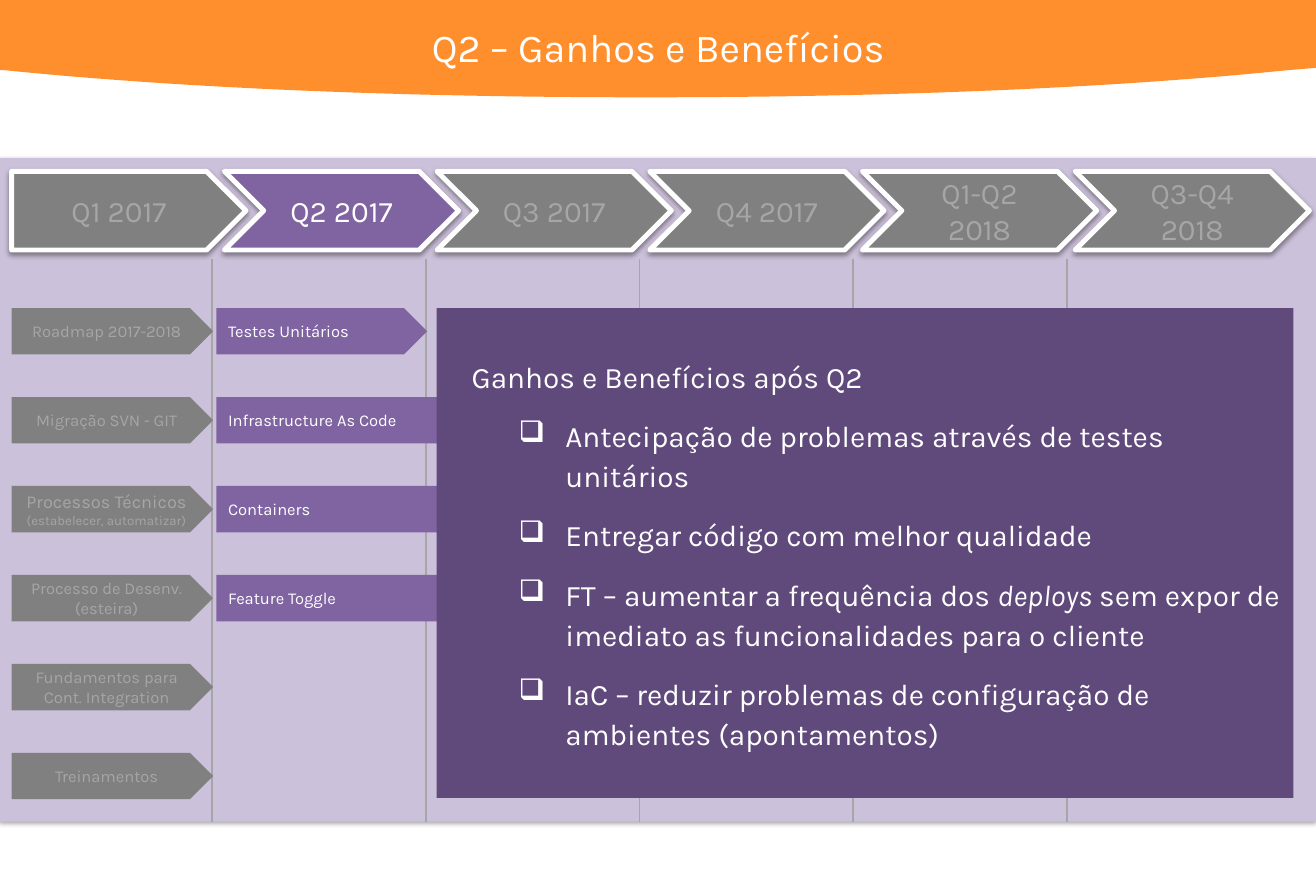
from lxml.etree import SubElement
from pptx import Presentation
from pptx.dml.color import RGBColor
from pptx.enum.shapes import MSO_CONNECTOR, MSO_SHAPE as SHAPE
from pptx.enum.text import MSO_ANCHOR, MSO_AUTO_SIZE, PP_ALIGN
from pptx.oxml import parse_xml
from pptx.oxml.ns import nsdecls, qn
from pptx.util import Cm, Pt

COLORS = {
    "banner": "FF8E2D", "white": "FFFFFF", "board": "CCC1DA", "panel": "604A7B",
    "active": "8064A2", "muted": "808080", "muted_text": "A6A6A6",
}
RGB = {name: RGBColor.from_string(value) for name, value in COLORS.items()}
SHADOW = (
    f'<a:outerShdw {nsdecls("a")} blurRad="40000" dist="20000" dir="5400000" rotWithShape="0">'
    '<a:srgbClr val="000000"><a:alpha val="38000"/></a:srgbClr></a:outerShdw>'
)


def add_box(kind, x, y, w, h, fill, shadow=False):
    sp = s.shapes.add_shape(kind, Cm(x), Cm(y), Cm(w), Cm(h))
    sp.fill.solid()
    sp.fill.fore_color.rgb = RGB[fill]
    sp.line.fill.background()
    sp.shadow.inherit = False
    if shadow:
        sp._element.spPr.find(qn("a:effectLst")).append(parse_xml(SHADOW))
    sp.text_frame.word_wrap = True
    sp.text_frame.vertical_anchor = MSO_ANCHOR.MIDDLE
    return sp


def write(p, runs, color, align=PP_ALIGN.CENTER):
    p.alignment = align
    for text, size, italic in runs:
        r = p.add_run()
        r.text = text
        r.font.name = "Karla"
        r.font.size = Pt(size)
        r.font.color.rgb = RGB[color]
        if italic:
            r.font.italic = True


prs = Presentation()
prs.slide_width, prs.slide_height = Cm(28.09), Cm(19.05)
s = prs.slides.add_slide(prs.slide_layouts[5])

points = [(28.09, 0), (28.09, 1.45)]
curves = [
    [(27.48, 1.5), (23.77, 1.88), (19, 2.08), (13.79, 2.08)],
    [(13.79, 2.08), (8.59, 2.08), (3.81, 1.88), (0.1, 1.5)],
]
steps = 24
for a, b, c, d in curves:
    for i in range(steps + 1):
        t = i / steps
        u = 1 - t
        weights = (u**3, 3 * u * u * t, 3 * u * t * t, t**3)
        points.append(tuple(sum(k * v for k, v in zip(weights, axis)) for axis in zip(a, b, c, d)))
points.append((0, 1.5))
builder = s.shapes.build_freeform(0, 0, scale=1.0)
builder.add_line_segments([(Cm(x), Cm(y)) for x, y in points], close=True)
banner = builder.convert_to_shape()
banner.fill.solid()
banner.fill.fore_color.rgb = RGB["banner"]
banner.line.fill.background()
banner.shadow.inherit = False

title = s.shapes.title
title._element.addprevious(banner._element)
title.left, title.top, title.width, title.height = Cm(2.39), Cm(0.36), Cm(23.32), Cm(1.27)
title.text_frame.auto_size = MSO_AUTO_SIZE.SHAPE_TO_FIT_TEXT
write(title.text_frame.paragraphs[0], [("Q2 – Ganhos e Benefícios", 24, False)], "white")

add_box(SHAPE.RECTANGLE, 0, 3.38, 28.09, 14.17, "board", shadow=True)

quarters = ["Q1 2017", "Q2 2017", "Q3 2017", "Q4 2017", "Q1-Q2 2018", "Q3-Q4 2018"]
for i, quarter in enumerate(quarters):
    kind = SHAPE.CHEVRON if i else SHAPE.PENTAGON
    active = quarter == "Q2 2017"
    sp = add_box(kind, 0.25 + 4.54 * i, 3.66, 5, 1.68, "active" if active else "muted", shadow=True)
    sp.line.color.rgb = RGB["white"]
    sp.line.width = Pt(3)
    write(sp.text_frame.paragraphs[0], [(quarter, 18, False)], "white" if active else "muted_text")

for i in range(5):
    x = Cm(4.53 + 4.56 * i)
    divider = s.shapes.add_connector(MSO_CONNECTOR.STRAIGHT, x, Cm(5.54), x, Cm(17.55))
    divider.line.color.rgb = RGB["muted_text"]
    divider.line.width = Pt(1)
    SubElement(divider._element.spPr, qn("a:effectLst"))

row_top, row_pitch, row_height = 6.58, 1.9, 0.99
q2_items = [
    ("Testes Unitários", 4.5), ("Infrastructure As Code", 13.59),
    ("Containers", 13.59), ("Feature Toggle", 9.02),
]
for i, (text, width) in enumerate(q2_items):
    sp = add_box(SHAPE.PENTAGON, 4.62, row_top + row_pitch * i, width, row_height, "active")
    write(sp.text_frame.paragraphs[0], [(text, 10, False)], "white", PP_ALIGN.LEFT)

q1_items = [
    [("Roadmap 2017-2018", 10, False)],
    [("Migração SVN - GIT", 10, False)],
    [("Processos Técnicos ", 11, False), ("(estabelecer, automatizar)", 8, False)],
    [("Processo de Desenv. (esteira)", 10, False)],
    [("Fundamentos para Cont. Integration", 10, False)],
    [("Treinamentos", 10, False)],
]
for i, runs in enumerate(q1_items):
    sp = add_box(SHAPE.PENTAGON, 0.25, row_top + row_pitch * i, 4.3, row_height, "muted")
    write(sp.text_frame.paragraphs[0], runs, "muted_text")

panel = add_box(SHAPE.RECTANGLE, 9.32, row_top, 18.29, 10.46, "panel")
benefits = [
    [("Ganhos e Benefícios após Q2", 18, False)],
    [("Antecipação de problemas através de testes unitários", 18, False)],
    [("Entregar código com melhor qualidade", 18, False)],
    [("FT – aumentar a frequência dos ", 18, False), ("deploys", 18, True),
     (" sem expor de imediato as funcionalidades para o cliente", 18, False)],
    [("IaC – reduzir problemas de configuração de ambientes (apontamentos)", 18, False)],
]
tf = panel.text_frame
for i, runs in enumerate(benefits):
    p = tf.add_paragraph() if i else tf.paragraphs[0]
    pPr = p._p.get_or_add_pPr()
    pPr.set("marL", str(Cm(2.5 if i else 0.5)))
    if i:
        pPr.set("indent", str(Cm(-1)))
        SubElement(pPr, qn("a:buChar"), char="❑")
        p.space_before = Pt(6)
    p.space_after = Pt(6)
    p.line_spacing = Pt(24)
    write(p, runs, "white", PP_ALIGN.LEFT)

prs.save("out.pptx")
